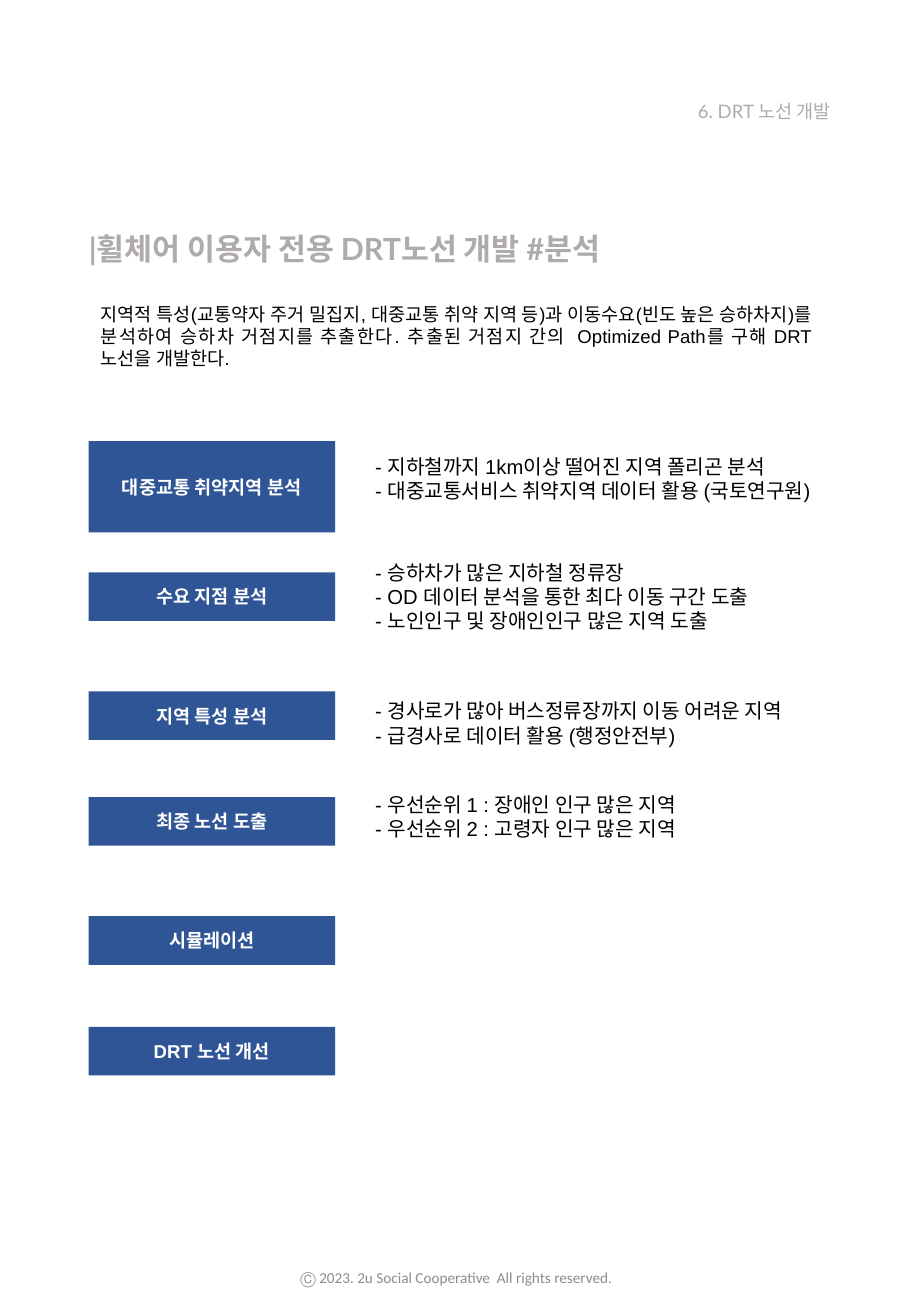
"""Build the DRT route development analysis page."""
from dataclasses import dataclass

from pptx import Presentation
from pptx.dml.color import RGBColor
from pptx.enum.shapes import MSO_SHAPE
from pptx.enum.text import MSO_ANCHOR as ANCHOR, MSO_AUTO_SIZE as AUTO, PP_ALIGN as ALIGN
from pptx.util import Pt

BLUE = RGBColor(0x2F, 0x55, 0x97)
WHITE = RGBColor(0xFF, 0xFF, 0xFF)
BLACK = RGBColor(0x00, 0x00, 0x00)
LIGHT_GREY = RGBColor(0xAF, 0xAB, 0xAB)
FOOTER_GREY = RGBColor(0x8C, 0x8C, 0x8C)

STEP_LEFT, STEP_WIDTH, STEP_HEIGHT = 52.5, 146.2, 28.8
DETAIL_LEFT, DETAIL_WIDTH = 215.3, 310.3


@dataclass(frozen=True)
class Style:
    size: float
    font: str
    color: RGBColor
    bold: bool = False
    align: ALIGN = ALIGN.LEFT
    anchor: ANCHOR = ANCHOR.TOP
    spacing: float = 1.0
    auto_size: AUTO = AUTO.SHAPE_TO_FIT_TEXT


@dataclass(frozen=True)
class Box:
    left: float
    top: float
    width: float
    height: float


@dataclass(frozen=True)
class Step:
    label: str
    top: float
    height: float = STEP_HEIGHT
    details: tuple[str, ...] = ()
    detail_top: float = 0
    detail_height: float = 36


HEADER = Style(11, "Lato", LIGHT_GREY, align=ALIGN.RIGHT, spacing=1.5)
TITLE = Style(18, "Lato", LIGHT_GREY, bold=True)
INTRO = Style(11, "Arial", BLACK, align=ALIGN.JUSTIFY)
DETAIL = Style(12, "Arial", BLACK)
LABEL = Style(11, "Arial", WHITE, bold=True, align=ALIGN.CENTER,
              anchor=ANCHOR.MIDDLE, auto_size=AUTO.NONE)
FOOTER = Style(9, "Calibri", FOOTER_GREY, align=ALIGN.CENTER,
               anchor=ANCHOR.MIDDLE, auto_size=AUTO.NONE)

STEPS = (
    Step("대중교통 취약지역 분석", 261.4, 54,
         ("- 지하철까지 1km이상 떨어진 지역 폴리곤 분석",
          "- 대중교통서비스 취약지역 데이터 활용 (국토연구원)"), 265.7),
    Step("수요 지점 분석", 339.1, STEP_HEIGHT,
         ("- 승하차가 많은 지하철 정류장",
          "- OD 데이터 분석을 통한 최다 이동 구간 도출",
          "- 노인인구 및 장애인인구 많은 지역 도출"), 328.3, 51.1),
    Step("지역 특성 분석", 409.7, STEP_HEIGHT,
         ("- 경사로가 많아 버스정류장까지 이동 어려운 지역",
          "- 급경사로 데이터 활용 (행정안전부)"), 410.4),
    Step("최종 노선 도출", 472.3, STEP_HEIGHT,
         ("- 우선순위 1 : 장애인 인구 많은 지역",
          "- 우선순위 2 : 고령자 인구 많은 지역"), 465.8),
    Step("시뮬레이션", 542.9),
    Step("DRT 노선 개선", 608.4),
)


def frame(box: Box) -> tuple[Pt, Pt, Pt, Pt]:
    """Return the box as left, top, width and height lengths."""
    return Pt(box.left), Pt(box.top), Pt(box.width), Pt(box.height)


def write(sp, style: Style, *lines: str) -> None:
    """Fill a shape with one styled paragraph per line."""
    tf = sp.text_frame
    tf.word_wrap = True
    tf.auto_size = style.auto_size
    tf.vertical_anchor = style.anchor
    for i, line in enumerate(lines):
        p = tf.add_paragraph() if i else tf.paragraphs[0]
        p.alignment = style.align
        p.line_spacing = style.spacing
        r = p.add_run()
        r.text = line
        r.font.size = Pt(style.size)
        r.font.name = style.font
        r.font.bold = style.bold
        r.font.color.rgb = style.color


def add_text(slide, box: Box, style: Style, *lines: str) -> None:
    """Add a text box."""
    write(slide.shapes.add_textbox(*frame(box)), style, *lines)


def add_title(slide, box: Box, text: str) -> None:
    """Place and fill the title placeholder."""
    sp = slide.shapes.title
    sp.left, sp.top, sp.width, sp.height = frame(box)
    write(sp, TITLE, text)


def add_step(slide, step: Step) -> None:
    """Add a step label and the details beside it."""
    box = Box(STEP_LEFT, step.top, STEP_WIDTH, step.height)
    sp = slide.shapes.add_shape(MSO_SHAPE.RECTANGLE, *frame(box))
    sp.shadow.inherit = False
    sp.fill.solid()
    sp.fill.fore_color.rgb = BLUE
    sp.line.fill.background()
    write(sp, LABEL, step.label)
    if step.details:
        detail_box = Box(DETAIL_LEFT, step.detail_top, DETAIL_WIDTH, step.detail_height)
        add_text(slide, detail_box, DETAIL, *step.details)


def main() -> None:
    """Build and save the presentation."""
    prs = Presentation()
    prs.slide_width, prs.slide_height = Pt(540), Pt(779.76)
    slide = prs.slides.add_slide(prs.slide_layouts[5])
    add_text(slide, Box(229.7, 49, 270, 25.2), HEADER, "6. DRT 노선 개발")
    add_title(slide, Box(45.4, 132.5, 395.3, 28.8), "|휠체어 이용자 전용 DRT노선 개발 #분석")
    add_text(slide, Box(52.5, 175.7, 435.6, 47.5), INTRO,
             "지역적 특성(교통약자 주거 밀집지, 대중교통 취약 지역 등)과 이동수요(빈도 높은 "
             "승하차지)를 분석하여 승하차 거점지를 추출한다. 추출된 거점지 간의  "
             "Optimized Path를 구해 DRT 노선을 개발한다.")
    for step in STEPS:
        add_step(slide, step)
    add_text(slide, Box(169.2, 744.5, 202.3, 24.5), FOOTER,
             "Ⓒ 2023. 2u Social Cooperative  All rights reserved.")
    prs.save("out.pptx")


if __name__ == "__main__":
    main()
